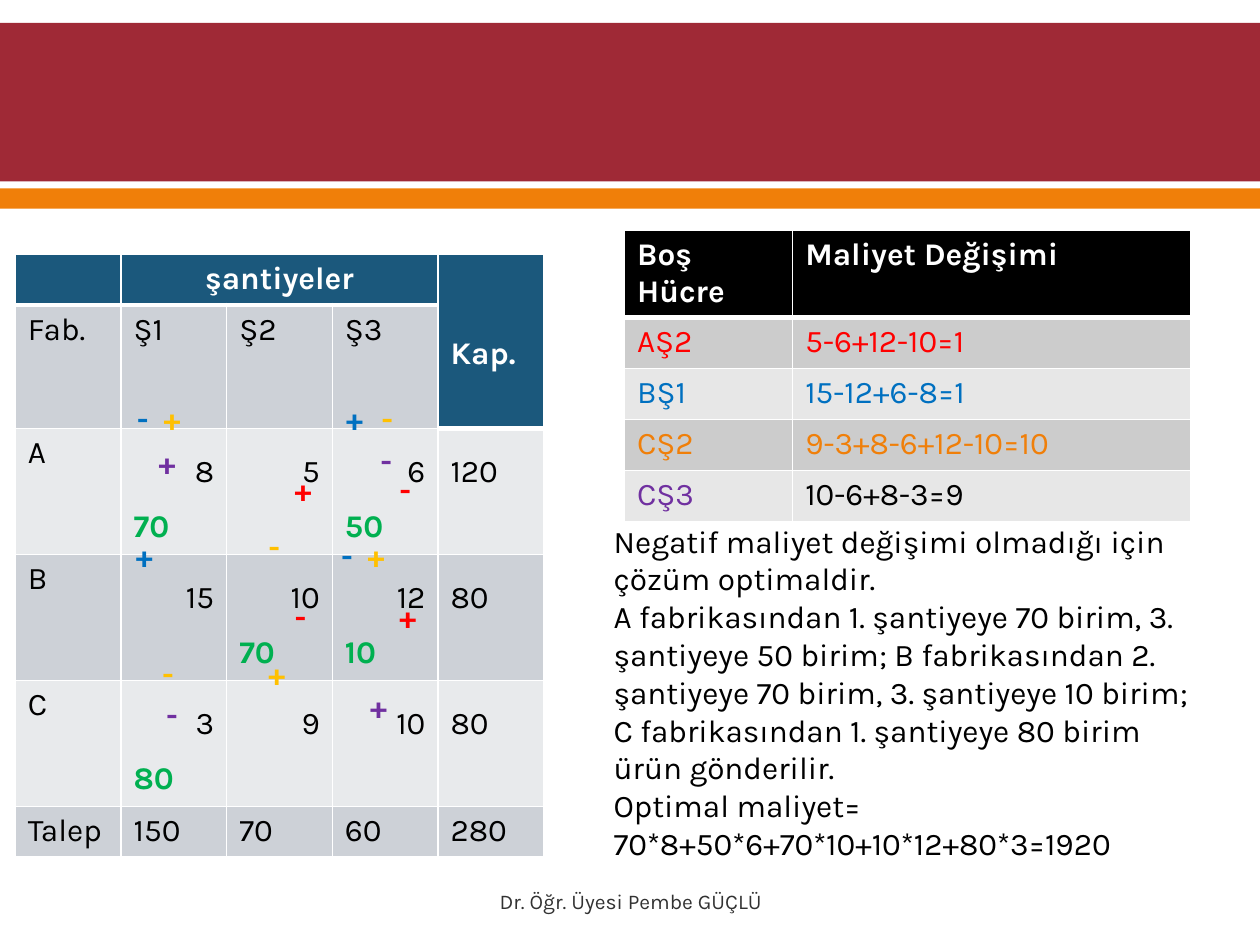
import pptx
import pptx.dml.color
import pptx.enum.shapes
import pptx.enum.text
import pptx.oxml
import pptx.oxml.ns
import pptx.util
from pptx.util import Cm

ALIGN = pptx.enum.text.PP_ALIGN
ANCHOR = pptx.enum.text.MSO_ANCHOR


class Theme:
    font = "Karla"
    body, footer = 18, 12
    white, black, grey = "FFFFFF", "000000", "323232"
    crimson, orange, navy = "9F2936", "F07F09", "1B587C"
    red, blue, yellow, purple, green = "FF0000", "0070C0", "FFC000", "7030A0", "00B050"
    cost_bands = ("CDD1D7", "E8EAEC")
    change_bands = ("CCCCCC", "E7E7E7")


def write(p, text, color=Theme.black, bold=False, align=ALIGN.LEFT, size=Theme.body):
    p.alignment = align
    r = p.add_run()
    r.text = text
    r.font.name = Theme.font
    r.font.size = pptx.util.Pt(size)
    r.font.bold = bold
    r.font.color.rgb = pptx.dml.color.RGBColor.from_string(color)


def style_cell(cell, fill, bottom=1):
    """Fill the cell and rule it in white, with a bottom line of the given points."""
    tcPr = cell._tc.get_or_add_tcPr()
    for side, width in (("L", 1), ("R", 1), ("T", 1), ("B", bottom)):
        tcPr.append(pptx.oxml.parse_xml(
            f'<a:ln{side} {pptx.oxml.ns.nsdecls("a")} w="{width * 12700}"><a:solidFill>'
            f'<a:srgbClr val="{Theme.white}"/></a:solidFill></a:ln{side}>'))
    cell.fill.solid()
    cell.fill.fore_color.rgb = pptx.dml.color.RGBColor.from_string(fill)


prs = pptx.Presentation()
prs.slide_width, prs.slide_height = Cm(25.4), Cm(19.05)
s = prs.slides.add_slide(prs.slide_layouts[6])

# Header bars
for top, height, color in ((0.46, 3.2, Theme.crimson), (3.8, 0.41, Theme.orange)):
    bar = s.shapes.add_shape(pptx.enum.shapes.MSO_SHAPE.RECTANGLE,
                             0, Cm(top), prs.slide_width, Cm(height))
    bar.shadow.inherit = False
    bar.fill.solid()
    bar.fill.fore_color.rgb = pptx.dml.color.RGBColor.from_string(color)
    bar.line.fill.background()

# Cost change of each empty cell
changes = [
    ("Boş Hücre", "Maliyet Değişimi", Theme.white, Theme.white),
    ("AŞ2", "5-6+12-10=1", Theme.red, Theme.red),
    ("BŞ1", "15-12+6-8=1", Theme.blue, Theme.blue),
    ("CŞ2", "9-3+8-6+12-10=10", Theme.orange, Theme.orange),
    ("CŞ3", "10-6+8-3=9", Theme.purple, Theme.black),
]
table = s.shapes.add_table(5, 2, Cm(12.59), Cm(4.65), Cm(11.41), Cm(5.85)).table
table.columns[0].width, table.columns[1].width = Cm(3.39), Cm(8.02)
for i, (name, change, *colors) in enumerate(changes):
    header = i == 0
    table.rows[i].height = Cm(1.73 if header else 1.03)
    for j, text in enumerate((name, change)):
        cell = table.cell(i, j)
        style_cell(cell, Theme.black if header else Theme.change_bands[(i - 1) % 2],
                   3 if header else 1)
        write(cell.text_frame.paragraphs[0], text, colors[j], header)

# Footer
tf = s.shapes.add_textbox(Cm(8.69), Cm(17.65), Cm(8.05), Cm(1.02)).text_frame
tf.word_wrap = True
tf.vertical_anchor = ANCHOR.MIDDLE
write(tf.paragraphs[0], "Dr. Öğr. Üyesi Pembe GÜÇLÜ", Theme.grey,
      align=ALIGN.CENTER, size=Theme.footer)

# Transport table: a (cost, amount) pair for each route
routes = [
    ("A", [("8", "70"), ("5", ""), ("6", "50")], "120"),
    ("B", [("15", ""), ("10", "70"), ("12", "10")], "80"),
    ("C", [("3", "80"), ("9", ""), ("10", "")], "80"),
]
table = s.shapes.add_table(6, 5, Cm(0.31), Cm(5.13), Cm(10.65), Cm(11.95)).table
for column in table.columns:
    column.width = Cm(2.13)
for i, height in enumerate((0.99, 2.49, 2.49, 2.49, 2.49, 1.02)):
    table.rows[i].height = Cm(height)
    for j in range(5):
        header = i == 0 or (i, j) == (1, 4)
        style_cell(table.cell(i, j), Theme.navy if header else Theme.cost_bands[(i - 1) % 2],
                   3 if header else 1)

table.cell(0, 1).merge(table.cell(0, 3))
write(table.cell(0, 1).text_frame.paragraphs[0], "şantiyeler", Theme.white, True, ALIGN.CENTER)
capacity = table.cell(0, 4)
capacity.merge(table.cell(1, 4))
capacity.vertical_anchor = ANCHOR.MIDDLE
capacity.margin_top = Cm(0.65)
write(capacity.text_frame.paragraphs[0], "Kap.", Theme.white, True)

for i, texts in ((1, ("Fab.", "Ş1", "Ş2", "Ş3")), (5, ("Talep", "150", "70", "60", "280"))):
    for j, text in enumerate(texts):
        write(table.cell(i, j).text_frame.paragraphs[0], text)

for i, (factory, pairs, supply) in enumerate(routes, 2):
    write(table.cell(i, 0).text_frame.paragraphs[0], factory)
    for j, (cost, amount) in enumerate(pairs, 1):
        tf = table.cell(i, j).text_frame
        tf.paragraphs[0].line_spacing = 1.5
        write(tf.paragraphs[0], cost, align=ALIGN.RIGHT)
        if amount:
            p = tf.add_paragraph()
            p.line_spacing = 1.5
            write(p, amount, Theme.green, True)
    p = table.cell(i, 4).text_frame.paragraphs[0]
    p.line_spacing = 1.5
    write(p, supply)

# Plus and minus signs of each closed loop
loops = {
    Theme.red: [("+", 5.69, 9.35), ("-", 5.69, 11.91), ("+", 7.8, 11.91), ("-", 7.8, 9.35)],
    Theme.blue: [("-", 2.51, 7.92), ("+", 6.73, 7.92), ("-", 6.63, 10.69), ("+", 2.49, 10.69)],
    Theme.yellow: [("+", 7.16, 10.69), ("-", 7.44, 7.92), ("+", 3.05, 7.92),
                   ("-", 3.02, 13.06), ("+", 5.16, 13.06), ("-", 5.16, 10.49)],
    Theme.purple: [("+", 7.21, 13.72), ("+", 2.95, 8.81), ("-", 3.1, 13.89), ("-", 7.42, 8.76)],
}
for color, signs in loops.items():
    for sign, left, top in signs:
        width = 0.89 if sign == "+" else 0.69
        tf = s.shapes.add_textbox(Cm(left), Cm(top), Cm(width), Cm(1.02)).text_frame
        tf.word_wrap = False
        tf.auto_size = pptx.enum.text.MSO_AUTO_SIZE.SHAPE_TO_FIT_TEXT
        write(tf.paragraphs[0], sign, color, True)

# Conclusion
conclusion = [
    "Negatif maliyet değişimi olmadığı için çözüm optimaldir.",
    "A fabrikasından 1. şantiyeye 70 birim, 3. şantiyeye 50 birim; B fabrikasından 2. "
    "şantiyeye 70 birim, 3. şantiyeye 10 birim; C fabrikasından 1. şantiyeye 80 birim "
    "ürün gönderilir.",
    "Optimal maliyet= 70*8+50*6+70*10+10*12+80*3=1920",
]
tf = s.shapes.add_textbox(Cm(12.12), Cm(10.39), Cm(12.4), Cm(7.95)).text_frame
tf.word_wrap = True
tf.auto_size = pptx.enum.text.MSO_AUTO_SIZE.SHAPE_TO_FIT_TEXT
for i, text in enumerate(conclusion):
    write(tf.add_paragraph() if i else tf.paragraphs[0], text)

prs.save("out.pptx")
